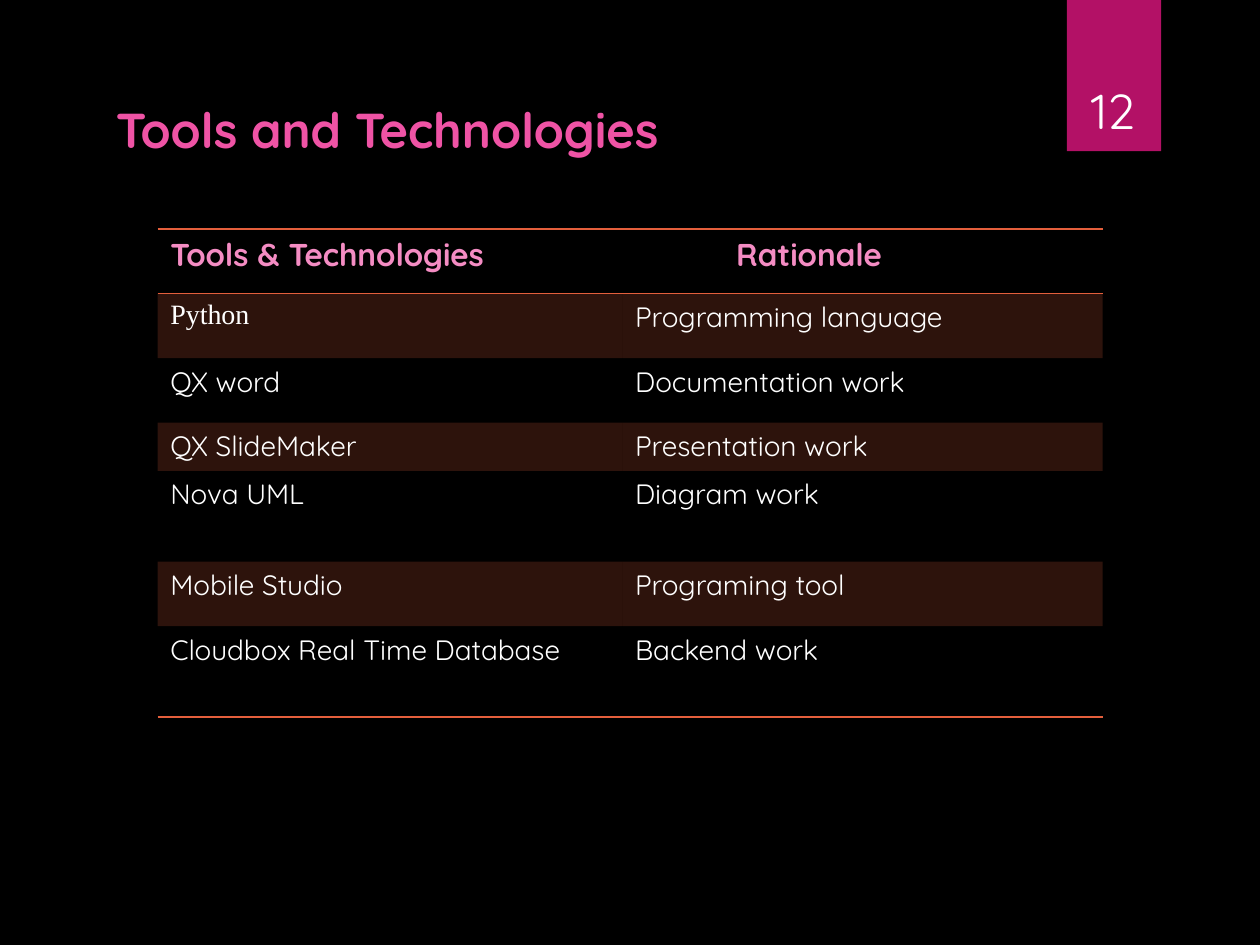
from lxml.etree import SubElement
from pptx import Presentation
from pptx.dml.color import RGBColor as Rgb
from pptx.enum.shapes import MSO_SHAPE as Shape
from pptx.enum.text import MSO_ANCHOR as Anchor, PP_ALIGN as Align
from pptx.oxml.ns import qn
from pptx.util import Cm, Pt

COLORS = {
    "background": "000000",
    "title": "EF53A5",
    "heading": "F48CC3",
    "text": "FFFFFF",
    "tab": "B31166",
    "accent": "E45F3C",
}
FONT = "Quicksand"
PLAIN_TABLE = "{2D5ABB26-0587-4C30-8999-92F81FD0307C}"

HEADINGS = ("Tools & Technologies", "Rationale")
TOOLS = [
    ("Python", "Programming language"),
    ("QX word", "Documentation work"),
    ("QX SlideMaker", "Presentation work"),
    ("Nova UML", "Diagram work"),
    ("Mobile Studio", "Programing tool"),
    ("Cloudbox Real Time Database", "Backend work"),
]
COLUMN_WIDTHS = (9.37, 9.68)
ROW_HEIGHTS = (1.3, 1.3, 1.3, 0.97, 1.83, 1.3, 1.83)


class SlideBuilder:
    def __init__(self, deck):
        self.page = deck.slides.add_slide(deck.slide_layouts[5])
        fill = self.page.background.fill
        fill.solid()
        fill.fore_color.rgb = self.color("background")

    def color(self, name):
        return Rgb.from_string(COLORS[name])

    def add_text(self, para, text, size, color, bold=False, font=FONT):
        span = para.add_run()
        span.text = text
        span.font.size = Pt(size)
        span.font.name = font
        span.font.bold = bold
        span.font.color.rgb = self.color(color)

    def place(self, box, left, top, width, height):
        box.left, box.top = Cm(left), Cm(top)
        box.width, box.height = Cm(width), Cm(height)

    def title(self, text, *area):
        box = self.page.shapes.title
        self.place(box, *area)
        box.text_frame.vertical_anchor = Anchor.TOP
        para = box.text_frame.paragraphs[0]
        para.alignment = Align.LEFT
        self.add_text(para, text, 28, "title", bold=True)

    def block(self, color, *area):
        box = self.page.shapes.add_shape(Shape.RECTANGLE, *map(Cm, area))
        box.shadow.inherit = False
        box.fill.solid()
        box.fill.fore_color.rgb = self.color(color)
        box.line.fill.background()

    def page_number(self, text, *area):
        frame = self.page.shapes.add_textbox(*map(Cm, area)).text_frame
        frame.word_wrap = True
        frame.vertical_anchor = Anchor.BOTTOM
        para = frame.paragraphs[0]
        para.alignment = Align.CENTER
        self.add_text(para, text, 28, "text")

    def border(self, cell, side):
        line = SubElement(cell._tc.get_or_add_tcPr(), qn(f"a:{side}"), w=str(Pt(1)))
        fill = SubElement(line, qn("a:solidFill"))
        SubElement(fill, qn("a:srgbClr"), val=COLORS["accent"])

    def band(self, cell, opacity):
        cell.fill.solid()
        cell.fill.fore_color.rgb = self.color("accent")
        color = cell._tc.tcPr.find(qn("a:solidFill")).find(qn("a:srgbClr"))
        SubElement(color, qn("a:alpha"), val=str(opacity * 1000))

    def table(self, rows, left, top):
        area = (left, top, sum(COLUMN_WIDTHS), sum(ROW_HEIGHTS))
        table = self.page.shapes.add_table(
            len(rows), len(COLUMN_WIDTHS), *map(Cm, area)).table
        table._tbl.tblPr.find(qn("a:tableStyleId")).text = PLAIN_TABLE
        for column, width in zip(table.columns, COLUMN_WIDTHS):
            column.width = Cm(width)
        for row, height in zip(table.rows, ROW_HEIGHTS):
            row.height = Cm(height)

        last = len(rows) - 1
        for r, texts in enumerate(rows):
            for c, text in enumerate(texts):
                cell = table.cell(r, c)
                para = cell.text_frame.paragraphs[0]
                if r == 0:
                    self.add_text(para, text, 18, "heading", bold=True)
                    self.border(cell, "lnT")
                else:
                    font = "Times New Roman" if text == "Python" else FONT
                    self.add_text(para, text, 16, "text", font=font)
                if r in (0, last):
                    self.border(cell, "lnB")
                if r % 2:
                    self.band(cell, 20)
                else:
                    cell.fill.background()
        # The second heading is set in from its column
        table.cell(0, 1).margin_left = Cm(2.29)


def main():
    deck = Presentation()
    deck.slide_width, deck.slide_height = Cm(25.4), Cm(19.05)
    slide = SlideBuilder(deck)

    # Corner tab and title
    slide.block("tab", 21.51, 0, 1.9, 3.05)
    slide.title("Tools and Technologies", 2.08, 1.88, 19.05, 1.8)

    # Table of tools
    slide.table([HEADINGS, *TOOLS], 3.18, 4.62)

    # Page number on the tab
    slide.page_number("12", 21.56, 0.81, 1.75, 2.13)

    deck.save("out.pptx")


if __name__ == "__main__":
    main()
